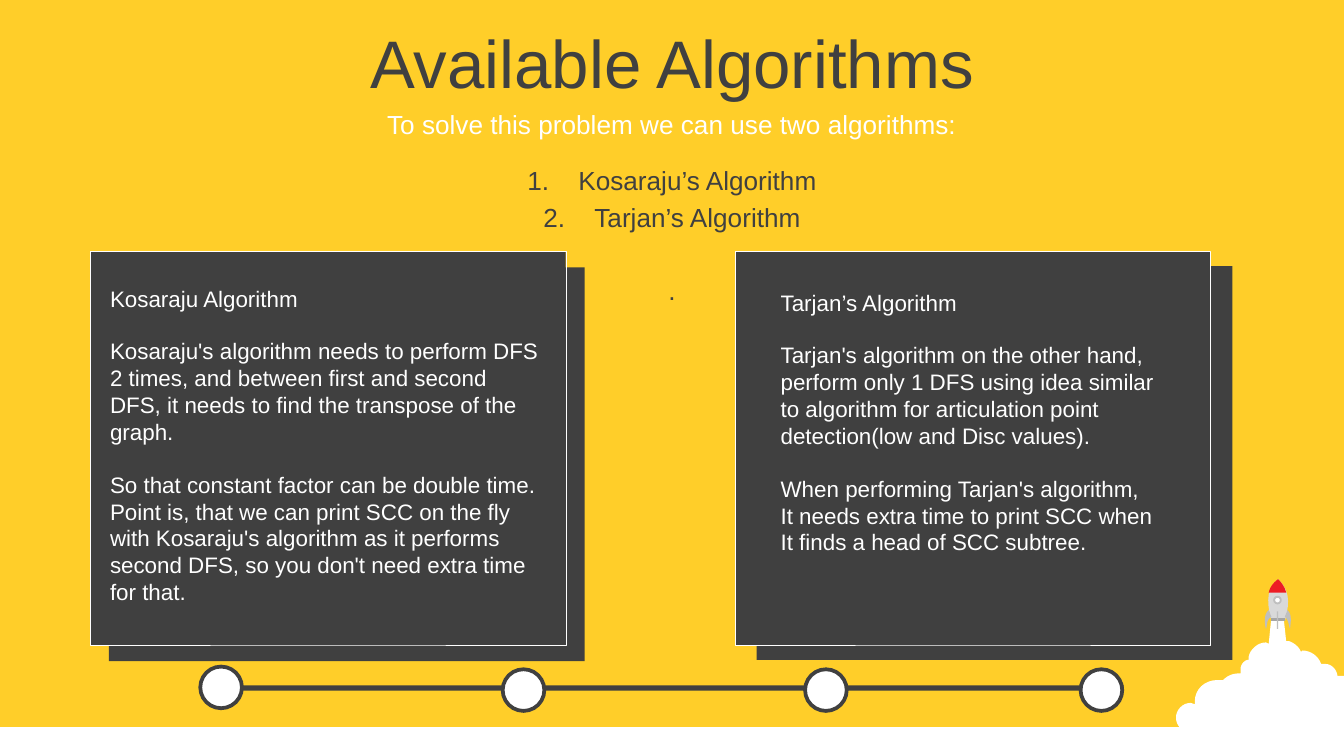
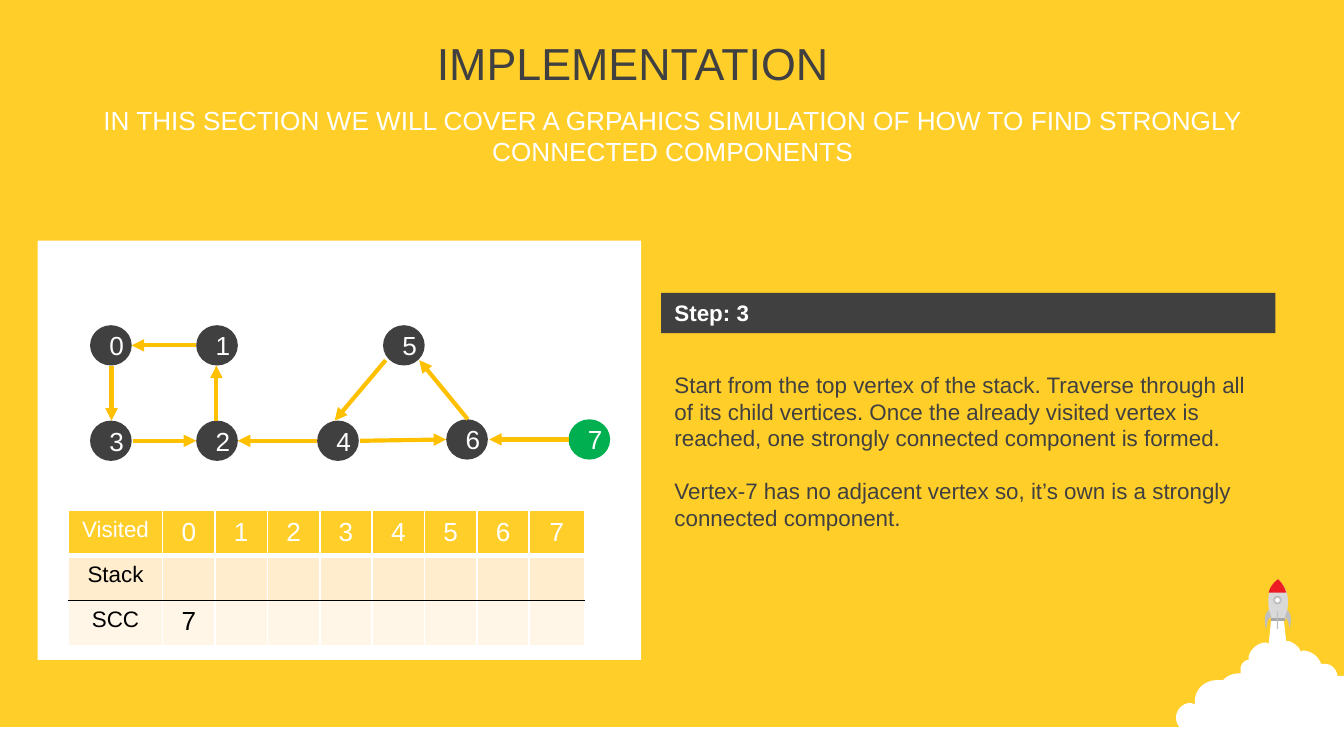
from lxml import etree
from pptx import Presentation
from pptx import util as u
from pptx.dml.color import RGBColor
from pptx.enum import shapes, text
from pptx.oxml import ns

YELLOW = RGBColor(0xFF, 0xCE, 0x29)
DARK = RGBColor(0x40, 0x40, 0x40)
WHITE = RGBColor(0xFF, 0xFF, 0xFF)
BLACK = RGBColor(0, 0, 0)
RED = RGBColor(0xED, 0x1C, 0x24)
GREEN = RGBColor(0x00, 0xB0, 0x50)
AMBER = RGBColor(0xFF, 0xC0, 0x00)
PEACH = RGBColor(0xFF, 0xED, 0xCD)
CREAM = RGBColor(0xFF, 0xF6, 0xE8)
LIGHT = RGBColor(0xD9, 0xD9, 0xD9)
SILVER = RGBColor(0xBF, 0xBF, 0xBF)
GREY = RGBColor(0xA6, 0xA6, 0xA6)

RECT = shapes.MSO_SHAPE.RECTANGLE
OVAL = shapes.MSO_SHAPE.OVAL
LEFT, CENTER = text.PP_ALIGN.LEFT, text.PP_ALIGN.CENTER
TOP, MIDDLE = text.MSO_ANCHOR.TOP, text.MSO_ANCHOR.MIDDLE
GAP = u.Pt(13.8)  # one line of 12 pt text


def paint(sp, fill, line=None, width=1):
    sp.shadow.inherit = False
    sp.fill.solid()
    sp.fill.fore_color.rgb = fill
    if line is None:
        sp.line.fill.background()
    else:
        sp.line.color.rgb = line
        sp.line.width = u.Pt(width)
    return sp


def write(tf, lines, size, color, align=LEFT, anchor=TOP, bold=False):
    """Each line is a text, or a pair of text and space before."""
    frame = {"word_wrap": True, "vertical_anchor": anchor,
             "auto_size": text.MSO_AUTO_SIZE.NONE}
    for name, value in frame.items():
        setattr(tf, name, value)
    for i, line in enumerate(lines):
        words, before = (line, 0) if isinstance(line, str) else line
        p = tf.add_paragraph() if i else tf.paragraphs[0]
        p.alignment, p.space_before = align, before
        r = p.add_run()
        r.text = words
        font = {"name": "Arial", "size": u.Pt(size), "bold": bold}
        for name, value in font.items():
            setattr(r.font, name, value)
        r.font.color.rgb = color


prs = Presentation()
prs.slide_width, prs.slide_height = u.Inches(10), u.Inches(5.625)
bg = prs.slide_master.background.fill
bg.solid()
bg.fore_color.rgb = YELLOW

# Rocket outlines: two numbers are a line, six are a curve
CLOUD = [
    (9.46, 4.59), (9.55, 4.59), (9.57, 4.77), (9.59, 4.77),
    (9.62, 4.78, 9.65, 4.8, 9.67, 4.83), (9.68, 4.85), (9.69, 4.84),
    (9.75, 4.84, 9.81, 4.88, 9.83, 4.94), (9.86, 4.94),
    (9.9, 4.94, 9.94, 4.97, 9.95, 5.02), (9.95, 5.03), (10, 5.03),
    (10, 5.6), (9.98, 5.6), (9.94, 5.6, 9.9, 5.59, 9.87, 5.57),
    (9.85, 5.57), (9.83, 5.58, 9.81, 5.59, 9.78, 5.59),
    (9.75, 5.59, 9.73, 5.57, 9.71, 5.55), (9.69, 5.55),
    (9.67, 5.58, 9.64, 5.59, 9.6, 5.59),
    (9.57, 5.59, 9.54, 5.58, 9.52, 5.56), (9.49, 5.56),
    (9.45, 5.59, 9.4, 5.61, 9.34, 5.61),
    (9.23, 5.61, 9.17, 5.56, 9.13, 5.51),
    (9.11, 5.53, 9.07, 5.54, 9.04, 5.53),
    (9, 5.52, 8.94, 5.5, 8.93, 5.45), (8.92, 5.44),
    (8.91, 5.45, 8.89, 5.45, 8.86, 5.45),
    (8.8, 5.45, 8.75, 5.4, 8.75, 5.34),
    (8.75, 5.28, 8.8, 5.23, 8.86, 5.23), (8.89, 5.24), (8.89, 5.22),
    (8.89, 5.13, 8.96, 5.06, 9.06, 5.06), (9.1, 5.06),
    (9.14, 5.02, 9.18, 5.01, 9.23, 5.01), (9.23, 4.98),
    (9.23, 4.95, 9.25, 4.92, 9.28, 4.91), (9.29, 4.91), (9.29, 4.89),
    (9.3, 4.83, 9.36, 4.78, 9.42, 4.78), (9.44, 4.79),
]
HULL = [(9.46, 4.62), (9.44, 4.53, 9.4, 4.4, 9.51, 4.31),
        (9.62, 4.41, 9.58, 4.54, 9.56, 4.62)]
BASE = [(9.46, 4.6), (9.56, 4.6), (9.56, 4.62), (9.46, 4.62)]
NOSE = [(9.51, 4.31), (9.54, 4.34, 9.56, 4.37, 9.57, 4.41), (9.44, 4.41),
        (9.45, 4.37, 9.47, 4.34, 9.51, 4.31)]
LEFT_FIN = [(9.44, 4.54), (9.46, 4.59), (9.42, 4.61, 9.43, 4.66, 9.42, 4.68),
            (9.41, 4.65, 9.4, 4.57, 9.44, 4.54)]
RIGHT_FIN = [(9.58, 4.54), (9.56, 4.59), (9.59, 4.61, 9.59, 4.66, 9.6, 4.68),
             (9.6, 4.65, 9.62, 4.57, 9.58, 4.54)]
ROCKET = [(CLOUD, WHITE), (HULL, LIGHT), (BASE, GREY), (NOSE, RED),
          (LEFT_FIN, SILVER), (RIGHT_FIN, SILVER)]

# Shared parts: heading, subtitle, ground band and rocket
headings = [
    ("Available Algorithms", 36, CENTER, (0, 0.14, 10, 0.63),
     "To solve this problem we can use two algorithms:",
     (0, 0.77, 10, 0.31)),
    ("IMPLEMENTATION", 24, LEFT, (3.15, 0.15, 3.23, 0.63),
     "IN THIS SECTION WE WILL COVER A GRPAHICS SIMULATION OF HOW TO FIND "
     "STRONGLY CONNECTED COMPONENTS", (0.28, 0.54, 9.45, 0.94)),
]
for title, size, align, title_box, subtitle, subtitle_box in headings:
    s = prs.slides.add_slide(prs.slide_layouts[5])
    paint(s.shapes.add_shape(RECT, *map(u.Inches, (0, 5.41, 10, 0.215))), WHITE)
    for outline, color in ROCKET:
        points = [outline[0]]
        for step in outline[1:]:
            if len(step) == 2:
                points.append(step)
                continue
            curve = (points[-1], step[:2], step[2:4], step[4:])
            for t in (k / 8 for k in range(1, 9)):
                weights = ((1 - t) ** 3, 3 * t * (1 - t) ** 2,
                           3 * t * t * (1 - t), t ** 3)
                points.append(tuple(sum(w * c[axis] for w, c in zip(weights, curve))
                                    for axis in (0, 1)))
        emu = [(u.Inches(x), u.Inches(y)) for x, y in points]
        fb = s.shapes.build_freeform(*emu[0])
        fb.add_line_segments(emu[1:], close=True)
        paint(fb.convert_to_shape(), color)
    paint(s.shapes.add_shape(OVAL, *map(u.Inches, (9.48, 4.44, 0.05, 0.05))),
          WHITE, SILVER)
    paint(s.shapes.add_shape(RECT, *map(u.Inches, (9.5, 4.55, 0.01, 0.13))), SILVER)

    sp = s.shapes.title
    sp.left, sp.top, sp.width, sp.height = map(u.Inches, title_box)
    write(sp.text_frame, [title], size, DARK, align, MIDDLE)
    sp = s.shapes.add_textbox(*map(u.Inches, subtitle_box))
    write(sp.text_frame, [subtitle], 14, WHITE, CENTER, MIDDLE)

# Slide 1: timeline
s = prs.slides[0]
paint(s.shapes.add_shape(RECT, *map(u.Inches, (1.65, 5.1, 6.71, 0.04))), DARK)
for x, y in [(1.49, 4.96), (3.74, 4.98), (5.99, 4.98), (8.04, 4.98)]:
    paint(s.shapes.add_shape(OVAL, *map(u.Inches, (x, y, 0.31, 0.31))),
          WHITE, DARK, 2)

# Slide 1: numbered list
sp = s.shapes.add_textbox(*map(u.Inches, (1.09, 1.28, 7.82, 0.94)))
write(sp.text_frame,
      [("Kosaraju’s Algorithm", u.Pt(3.2)), ("Tarjan’s Algorithm", u.Pt(3.2)),
       (".", u.Pt(22.4))], 14, DARK, CENTER, MIDDLE)
for p in sp.text_frame.paragraphs[:2]:
    pPr = p._p.get_or_add_pPr()
    pPr.set("marL", str(u.Inches(0.38)))
    pPr.set("indent", str(u.Inches(-0.38)))
    etree.SubElement(pPr, ns.qn("a:buFont"), typeface="+mj-lt")
    etree.SubElement(pPr, ns.qn("a:buAutoNum"), type="arabicPeriod")

# Slide 1: cards with an offset panel behind each
cards = [
    ((5.63, 1.98), (5.47, 1.87), 0.5, (5.71, 2.1, 2.99, 2.12), [
        "Tarjan’s Algorithm",
        ("Tarjan's algorithm on the other hand, perform only 1 DFS using idea "
         "similar to algorithm for articulation point", GAP),
        "detection(low and Disc values).",
        ("When performing Tarjan's algorithm,", GAP),
        "It needs extra time to print SCC when It finds a head of SCC subtree."]),
    ((0.81, 1.99), (0.67, 1.87), 0.25, (0.72, 2.07, 3.41, 2.52), [
        "Kosaraju Algorithm",
        ("Kosaraju's algorithm needs to perform DFS 2 times, and between first "
         "and second DFS, it needs to find the transpose of the graph.", GAP),
        ("So that constant factor can be double time.", GAP),
        "Point is, that we can print SCC on the fly",
        "with Kosaraju's algorithm as it performs",
        "second DFS, so you don't need extra time",
        "for that."]),
]
for back, front, width, box, lines in cards:
    for corner, line in [(back, None), (front, WHITE)]:
        paint(s.shapes.add_shape(RECT, *map(u.Inches, (*corner, 3.54, 2.93))),
              DARK, line, width)
    sp = s.shapes.add_textbox(*map(u.Inches, box))
    write(sp.text_frame, lines, 12, WHITE)

# Slide 2: step description
s = prs.slides[1]
sp = paint(s.shapes.add_shape(RECT, *map(u.Inches, (4.92, 2.18, 4.57, 0.3))), DARK)
write(sp.text_frame, ["Step: 3"], 12, WHITE, bold=True)
sp = s.shapes.add_textbox(*map(u.Inches, (4.92, 2.71, 4.57, 1.31)))
write(sp.text_frame, [
    "Start from the top vertex of the stack. Traverse through all of its child "
    "vertices. Once the already visited vertex is reached, one strongly "
    "connected component is formed.",
    ("Vertex-7 has no adjacent vertex so, it’s own is a strongly connected "
     "component.", GAP)], 12, DARK)

# Slide 2: graph
paint(s.shapes.add_shape(RECT, *map(u.Inches, (0.28, 1.79, 4.49, 3.12))), WHITE)
vertices = [(0.67, 2.42), (1.46, 2.42), (1.46, 3.13), (0.67, 3.13),
            (2.36, 3.13), (2.85, 2.42), (3.32, 3.12), (4.23, 3.12)]
for number, (x, y) in enumerate(vertices):
    sp = paint(s.shapes.add_shape(OVAL, *map(u.Inches, (x, y, 0.31, 0.3))),
               GREEN if number == 7 else DARK)
    write(sp.text_frame, [str(number)], 14, WHITE, CENTER, MIDDLE)
edges = [(1.46, 2.57, 0.98, 2.57), (1.61, 3.13, 1.61, 2.72),
         (0.99, 3.28, 1.46, 3.28), (0.83, 2.72, 0.83, 3.13),
         (2.36, 3.28, 1.77, 3.28), (2.87, 2.68, 2.49, 3.13),
         (4.23, 3.27, 3.64, 3.27), (3.48, 3.12, 3.12, 2.68),
         (2.68, 3.28, 3.32, 3.27)]
for edge in edges:
    c = s.shapes.add_connector(shapes.MSO_CONNECTOR.STRAIGHT, *map(u.Inches, edge))
    c.line.color.rgb = AMBER
    c.line.width = u.Pt(2.25)
    spPr = c._element.spPr
    etree.SubElement(spPr.find(ns.qn("a:ln")), ns.qn("a:tailEnd"), type="triangle")
    etree.SubElement(spPr, ns.qn("a:effectLst"))

# Slide 2: table of visited vertices
rows = [
    (["Visited", *map(str, range(8))], YELLOW, WHITE, (WHITE, 1), (WHITE, 3)),
    (["Stack"] + [""] * 8, PEACH, BLACK, (WHITE, 3), (BLACK, 1)),
    (["SCC", "7"] + [""] * 7, CREAM, BLACK, (BLACK, 1), (WHITE, 1)),
]
table = s.shapes.add_table(3, 9, *map(u.Inches, (0.51, 3.8, 3.84, 0.99))).table
table.first_row = table.horz_banding = False
for i, column in enumerate(table.columns):
    column.width = u.Inches(0.7 if i == 0 else 0.41 if i == 8 else 0.39)
for i, (words, fill, color, top, bottom) in enumerate(rows):
    table.rows[i].height = u.Inches(0.33)
    for j, word in enumerate(words):
        cell = table.cell(i, j)
        tcPr = cell._tc.get_or_add_tcPr()
        borders = {"L": (WHITE, 1), "R": (WHITE, 1), "T": top, "B": bottom}
        for side, (line, width) in borders.items():
            ln = etree.SubElement(tcPr, ns.qn("a:ln" + side), w=str(u.Pt(width)))
            solid = etree.SubElement(ln, ns.qn("a:solidFill"))
            etree.SubElement(solid, ns.qn("a:srgbClr"), val=str(line))
        cell.fill.solid()
        cell.fill.fore_color.rgb = fill
        if word:
            write(cell.text_frame, [word], 14 if j else 12, color, CENTER)
        else:
            etree.SubElement(cell.text_frame.paragraphs[0]._p,
                             ns.qn("a:endParaRPr"), sz="1400")

prs.save("out.pptx")
